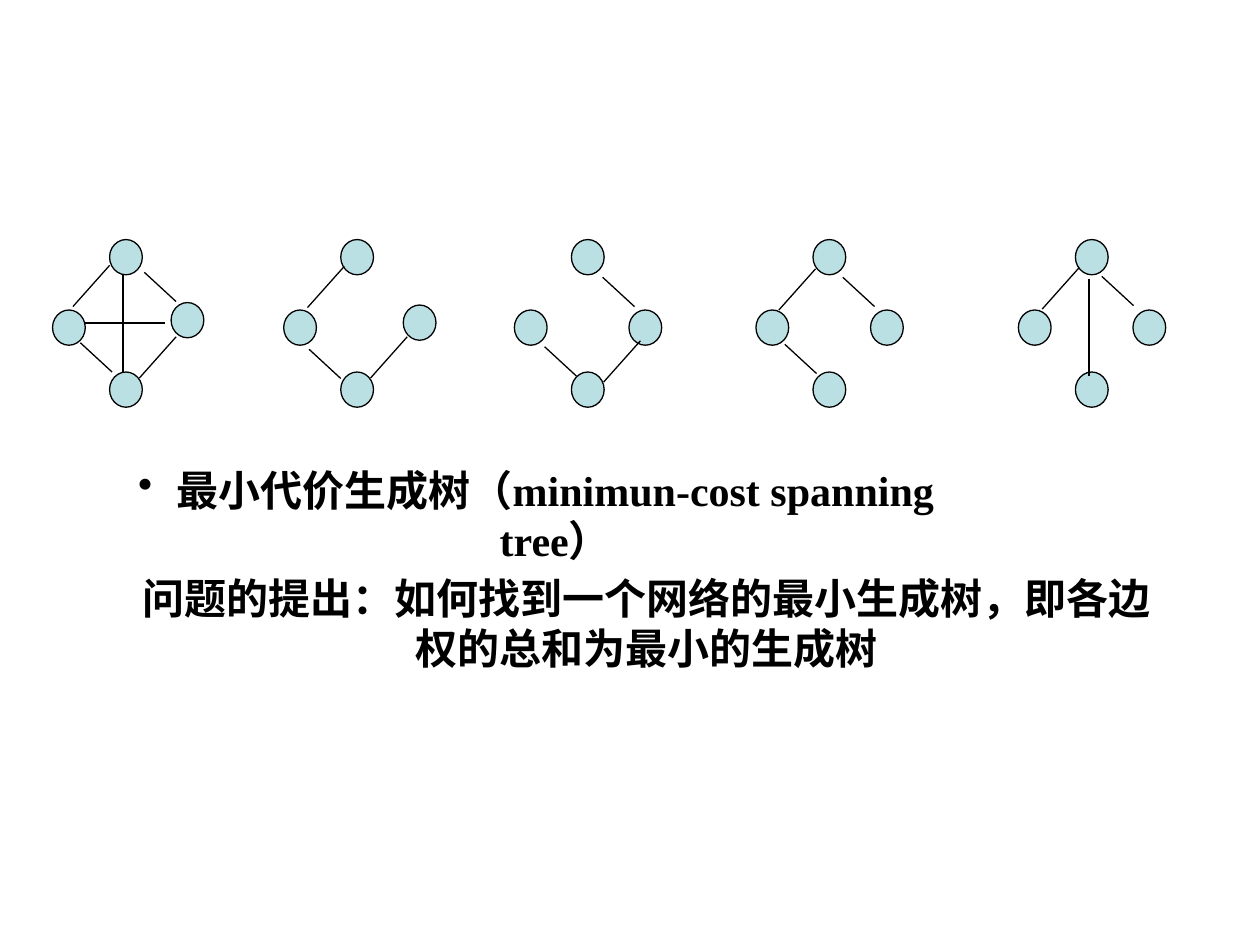
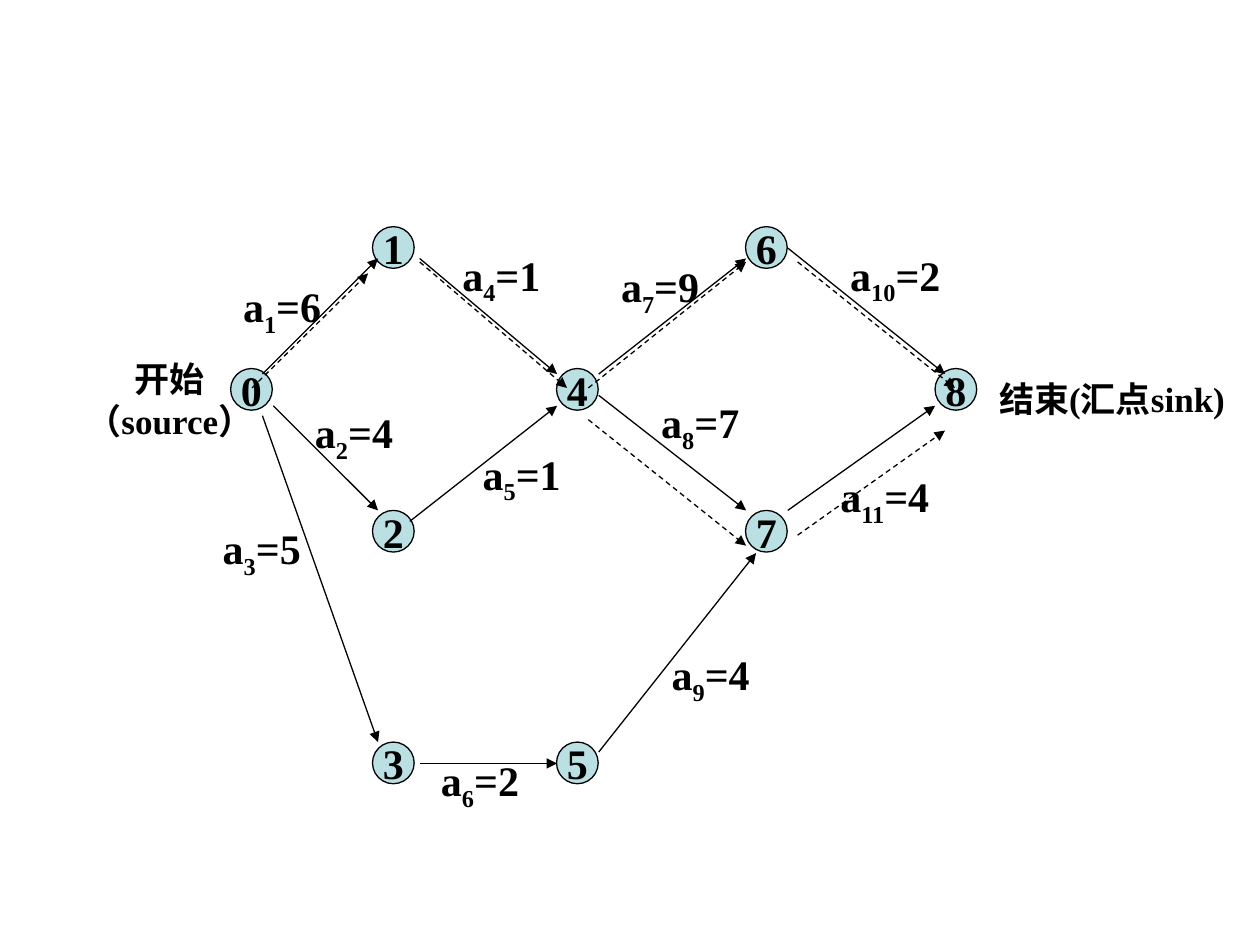
from lxml import etree
from pptx import Presentation
from pptx.dml.color import RGBColor
from pptx.enum.dml import MSO_LINE
from pptx.enum.lang import MSO_LANGUAGE_ID
from pptx.enum.shapes import MSO_CONNECTOR, MSO_SHAPE
from pptx.enum.text import MSO_ANCHOR, PP_ALIGN
from pptx.oxml.ns import qn
from pptx.util import Cm, Pt

OVAL, STRAIGHT, DASH = MSO_SHAPE.OVAL, MSO_CONNECTOR.STRAIGHT, MSO_LINE.DASH
LEFT, CENTER = PP_ALIGN.LEFT, PP_ALIGN.CENTER
TOP, MIDDLE = MSO_ANCHOR.TOP, MSO_ANCHOR.MIDDLE
CHINESE = MSO_LANGUAGE_ID.SIMPLIFIED_CHINESE

COLORS = {"node": "BBE0E3", "ink": "000000"}
FONT = "Times New Roman"
LINE_WIDTH = 0.75

RISE, FALL, DROP, ACROSS = (0.74, -0.83), (0.64, 0.59), (0, 1.96), (1.6, 0)
SMALL_NODE = (0.66, 0.71)
TREES_TOP = 4.83
TREES = [
    (1.06, (2.39, 1.27), [(DROP, 1.42, 0.71), (ACROSS, 0.66, 1.68), (RISE, 0.41, 1.35),
                          (FALL, 0.56, 2.08), (RISE, 1.75, 2.79), (FALL, 1.85, 0.66)]),
    (5.72, (2.41, 1.32), [(RISE, 0.48, 1.37), (RISE, 1.75, 2.79), (FALL, 0.51, 2.21)]),
    (10.37, (2.31, 1.42), [(FALL, 0.61, 2.16), (FALL, 1.78, 0.76), (RISE, 1.8, 2.87)]),
    (15.24, (2.31, 1.42), [(FALL, 0.58, 2.11), (FALL, 1.75, 0.76), (RISE, 0.46, 1.42)]),
    (20.53, (2.31, 1.42), [(FALL, 1.68, 0.74), (RISE, 0.48, 1.4), (DROP, 1.42, 0.79)]),
]

EVENT_SIZE = (0.84, 0.84)
COLUMNS = [0, 2.86, 6.57, 10.38, 14.2]
ROWS = [0, 2.86, 5.72, 10.39]
EVENTS = [(0, 1), (1, 0), (1, 2), (1, 3), (2, 1), (2, 3), (3, 0), (3, 2), (4, 1)]
ACTIVITIES = [
    (6, (0, 0.97), (0.64, 2.97, 2.97, 0.64)),
    (4, (1.45, 3.51), (0.86, 3.61, 2.97, 5.72)),
    (5, (-0.41, 5.84), (0.64, 3.81, 2.97, 10.39)),
    (1, (4.42, 0.33), (3.81, 0.64, 6.58, 2.97)),
    (1, (4.83, 4.34), (3.61, 5.94, 6.58, 3.61)),
    (2, (3.99, 10.52), (3.81, 10.82, 6.58, 10.82)),
    (9, (7.62, 0.56), (7.42, 2.97, 10.39, 0.64)),
    (7, (8.43, 3.3), (7.42, 3.4, 10.39, 5.72)),
    (4, (8.64, 8.38), (7.42, 10.59, 10.59, 6.58)),
    (2, (12.24, 0.33), (11.23, 0.43, 14.4, 2.97)),
    (4, (12.04, 4.8), (11.23, 5.72, 14.2, 3.61)),
]
CRITICAL_PATHS = [
    (0.43, 3.25, 2.77, 0.94), (3.81, 0.71, 6.78, 3.25), (7.21, 3.25, 10.39, 0.71),
    (7.21, 3.89, 10.39, 6.43), (11.43, 6.22, 14.4, 4.11), (11.43, 0.71, 14.6, 3.25),
]


def rgb(name):
    """Return a named colour."""
    return RGBColor.from_string(COLORS[name])


def write(tf, *lines, size=24, align=LEFT, anchor=TOP, wrap=True):
    """Write lines of text; a line given as a tuple has its second part lowered."""
    tf.word_wrap = wrap
    tf.vertical_anchor = anchor
    for i, line in enumerate(lines):
        p = tf.add_paragraph() if i else tf.paragraphs[0]
        p.alignment = align
        for j, part in enumerate((line,) if isinstance(line, str) else line):
            r = p.add_run()
            r.text = part
            r.font.name, r.font.size, r.font.bold = FONT, Pt(size), True
            r.font.color.rgb = rgb("ink")
            r.font.language_id = CHINESE
            if j == 1:
                r._r.get_or_add_rPr().set("baseline", "-25000")


def add_text(shapes, x, y, w, h, *lines, **fmt):
    """Add a text box."""
    sp = shapes.add_textbox(Cm(x), Cm(y), Cm(w), Cm(h))
    write(sp.text_frame, *lines, **fmt)
    return sp


def add_node(shapes, x, y, size, label=None):
    """Add a round graph node."""
    sp = shapes.add_shape(OVAL, Cm(x), Cm(y), Cm(size[0]), Cm(size[1]))
    sp.shadow.inherit = False
    sp.fill.solid()
    sp.fill.fore_color.rgb = rgb("node")
    sp.line.color.rgb = rgb("ink")
    sp.line.width = Pt(LINE_WIDTH)
    if label:
        tf = sp.text_frame
        tf.margin_left = tf.margin_right = tf.margin_top = tf.margin_bottom = 0
        write(tf, label, align=CENTER, anchor=MIDDLE, wrap=False)


def add_edge(shapes, x1, y1, x2, y2, arrow=False, dash=None):
    """Add a straight edge, with an arrowhead if asked."""
    s = shapes.add_connector(STRAIGHT, Cm(x1), Cm(y1), Cm(x2), Cm(y2))
    s.line.color.rgb = rgb("ink")
    s.line.width = Pt(LINE_WIDTH)
    if dash:
        s.line.dash_style = dash
    if arrow:
        etree.SubElement(s.line._get_or_add_ln(), qn("a:tailEnd"), type="triangle")
    etree.SubElement(s._element.spPr, qn("a:effectLst"))


def add_bullet(p, indent):
    """Give a paragraph a hanging bullet."""
    pPr = p._p.get_or_add_pPr()
    pPr.set("marL", str(Cm(indent)))
    pPr.set("indent", str(-Cm(indent)))
    etree.SubElement(pPr, qn("a:buChar"), char="•")


def draw_tree(shapes, x, y, right_node, edges):
    """Draw four nodes and their edges from the corner x, y."""
    for dx, dy in [(0, 1.42), (1.15, 0), right_node, (1.15, 2.67)]:
        add_node(shapes, x + dx, y + dy, SMALL_NODE)
    for (run, rise), dx, dy in edges:
        add_edge(shapes, x + dx, y + dy, x + dx + run, y + dy + rise)


def draw_network(shapes, x, y):
    """Draw the activity network from the corner x, y."""
    for i, (col, row) in enumerate(EVENTS):
        add_node(shapes, x + COLUMNS[col], y + ROWS[row], EVENT_SIZE, str(i))
    for _, _, (x1, y1, x2, y2) in ACTIVITIES:
        add_edge(shapes, x + x1, y + y1, x + x2, y + y2, arrow=True)
    for i, (weight, (dx, dy), _) in enumerate(ACTIVITIES, 1):
        width = 2.13 if i < 10 else 2.4
        add_text(shapes, x + dx, y + dy, width, 1.3, ("a", str(i), f"={weight}"), wrap=False)
    for x1, y1, x2, y2 in CRITICAL_PATHS:
        add_edge(shapes, x + x1, y + y1, x + x2, y + y2, arrow=True, dash=DASH)
    add_text(shapes, x - 3.18, y + 2.51, 3.91, 1.96, "开始", "（source）", size=20, align=CENTER)
    add_text(shapes, x + 15.24, y + 2.92, 5.11, 1.12, "结束(汇点sink)", size=20)


def spanning_tree_slide(prs):
    """Build the slide on spanning trees."""
    s = prs.slides.add_slide(prs.slide_layouts[6])
    for left, right_node, edges in TREES:
        draw_tree(s.shapes.add_group_shape().shapes, left, TREES_TOP, right_node, edges)
    heading = add_text(s.shapes, 1.32, 9.73, 18.97, 1.3,
                       "最小代价生成树（minimun-cost spanning tree）",
                       align=CENTER, anchor=MIDDLE)
    add_bullet(heading.text_frame.paragraphs[0], 0.78)
    add_text(s.shapes, 2.46, 11.4, 21.13, 2.31,
             "问题的提出：如何找到一个网络的最小生成树，即各边",
             "权的总和为最小的生成树", align=CENTER, anchor=MIDDLE)


def network_slide(prs):
    """Build the slide with the activity network."""
    s = prs.slides.add_slide(prs.slide_layouts[6])
    draw_network(s.shapes.add_group_shape().shapes, 4.65, 4.57)


def main():
    """Build and save the presentation."""
    prs = Presentation()
    prs.slide_width, prs.slide_height = Cm(25.4), Cm(19.05)
    spanning_tree_slide(prs)
    network_slide(prs)
    prs.save("out.pptx")


if __name__ == "__main__":
    main()
